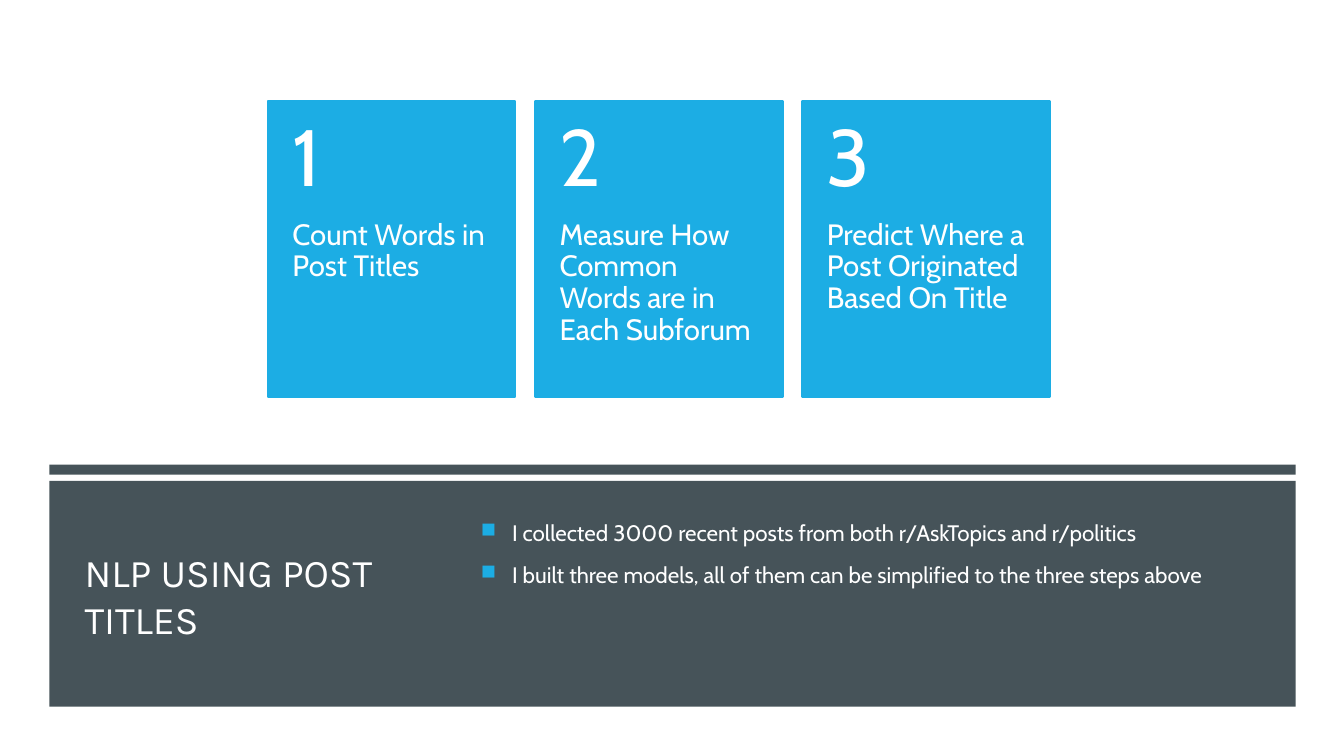
from lxml import etree
from pptx import Presentation, util as u
from pptx.dml import color
from pptx.enum import shapes, text
from pptx.oxml import ns

WHITE, BLUE, SLATE = "FFFFFF", "1CADE4", "465359"

deck = Presentation()
deck.slide_width, deck.slide_height = u.Inches(13.33), u.Inches(7.5)
page = deck.slides.add_slide(deck.slide_layouts[6])
page.background.fill.solid()
page.background.fill.fore_color.rgb = color.RGBColor.from_string(WHITE)


def add_block(left, top, width, height, fill, border=None):
    block = page.shapes.add_shape(
        shapes.MSO_SHAPE.RECTANGLE, *map(u.Inches, (left, top, width, height)))
    block.shadow.inherit = False
    block.fill.solid()
    block.fill.fore_color.rgb = color.RGBColor.from_string(fill)
    if border:
        block.line.color.rgb = color.RGBColor.from_string(fill)
        block.line.width = u.Pt(border)
    else:
        block.line.fill.background()


def add_text(place, lines, size, font, anchor, insets=(0.1, 0.05, 0.1, 0.05), spacing=1.0):
    box = page.shapes.add_textbox(*map(u.Inches, place))
    frame = box.text_frame
    frame.word_wrap = True
    frame.vertical_anchor = anchor
    (frame.margin_left, frame.margin_top,
     frame.margin_right, frame.margin_bottom) = map(u.Inches, insets)
    for index, line in enumerate(lines):
        para = frame.add_paragraph() if index else frame.paragraphs[0]
        para.line_spacing = spacing
        span = para.add_run()
        span.text = line
        span.font.size = u.Pt(size)
        span.font.name = font
        span.font.color.rgb = color.RGBColor.from_string(WHITE)
    return frame


TOP, MIDDLE = text.MSO_ANCHOR.TOP, text.MSO_ANCHOR.MIDDLE

add_block(0.49, 4.61, 12.36, 0.1, SLATE)
add_block(0.49, 4.77, 12.36, 2.24, SLATE)
add_text((0.74, 5.03, 3.67, 1.76), ["NLP USING POST TITLES"], 28, "Karla", MIDDLE)

points = add_text((4.67, 5.03, 7.92, 1.76), [
    "I collected 3000 recent posts from both r/AskTopics and r/politics",
    "I built three models, all of them can be simplified to the three steps above",
], 16, "Cabin", TOP, insets=(0.1, 0.09, 0.1, 0.05), spacing=1.1)
for para in points.paragraphs:
    para.space_before, para.space_after = u.Pt(3.2), u.Pt(6)
    props = para._p.get_or_add_pPr()
    props.set("marL", str(u.Inches(0.31)))
    props.set("indent", str(-u.Inches(0.31)))
    bullet_color = etree.SubElement(props, ns.qn("a:buClr"))
    etree.SubElement(bullet_color, ns.qn("a:srgbClr"), val=BLUE)
    etree.SubElement(props, ns.qn("a:buSzPct"), val="92000")
    etree.SubElement(props, ns.qn("a:buChar"), char="■")

steps = [
    "Count Words in Post Titles",
    "Measure How Common Words are in Each Subforum",
    "Predict Where a Post Originated Based On Title",
]
for index, step in enumerate(steps):
    left = 2.66 + index * 2.65
    add_block(left, 1, 2.45, 2.94, BLUE, border=1.75)
    add_text((left, 2.18, 2.45, 1.77), [step], 21, "Cabin", TOP,
             insets=(0.24, 0, 0.24, 0.36), spacing=0.9)
    add_text((left, 1, 2.45, 1.18), [str(index + 1)], 57, "Cabin", MIDDLE,
             insets=(0.24, 0.18, 0.24, 0.18), spacing=0.9)

deck.save("out.pptx")
